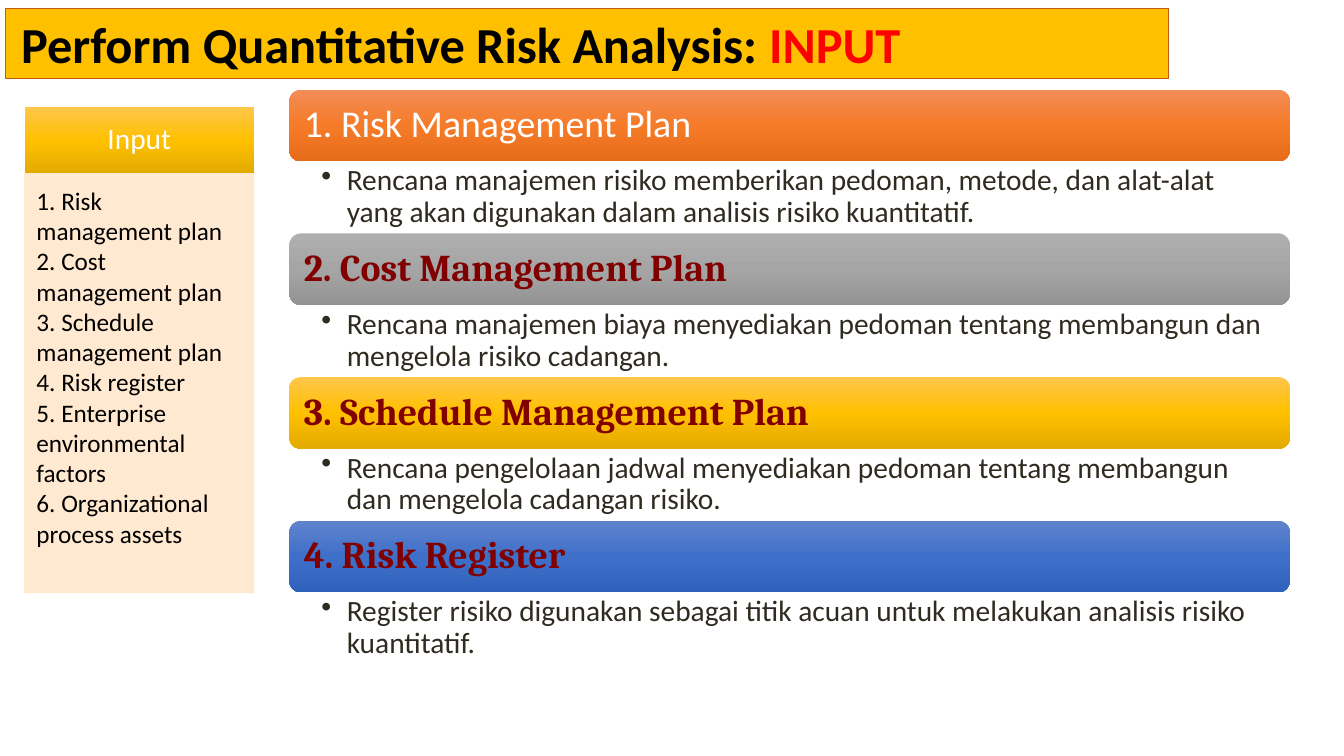
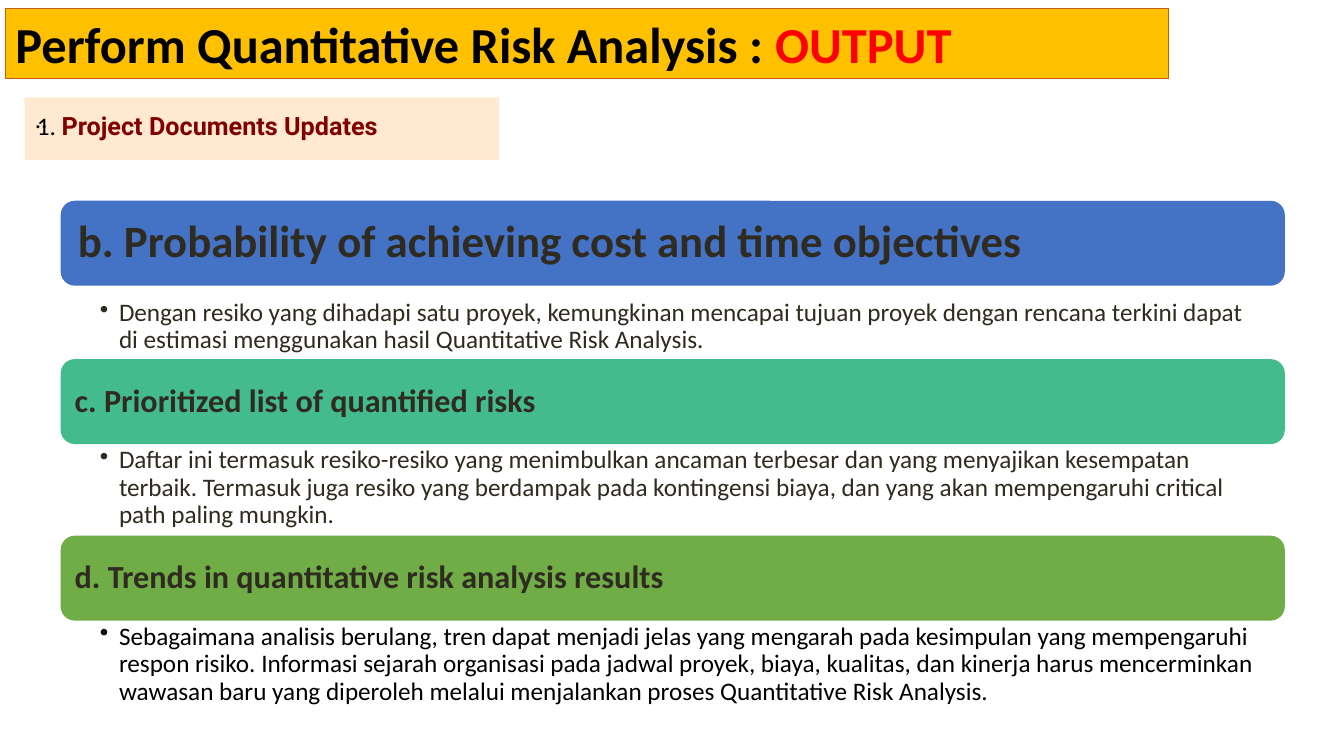
from copy import deepcopy
from dataclasses import dataclass

from pptx import Presentation
from pptx.dml.color import RGBColor as Rgb
from pptx.enum.shapes import MSO_SHAPE as Shape
from pptx.enum.text import MSO_ANCHOR as Anchor, MSO_AUTO_SIZE as AutoSize, PP_ALIGN as Align
from pptx.oxml.ns import qn
from pptx.util import Cm, Pt
from lxml.etree import SubElement


@dataclass(frozen=True)
class Theme:
    gold: str = "FFC000"
    rust: str = "C55A11"
    cream: str = "FFE8CC"
    black: str = "000000"
    white: str = "FFFFFF"
    red: str = "FF0000"
    maroon: str = "800000"
    ink: str = "2F2B20"
    blue: str = "4472C4"
    teal: str = "43BB8D"
    green: str = "70AD47"
    orange_fade: tuple = ("F18C57", "F67B28", "E56C19")
    gray_fade: tuple = ("AFAFAF", "A5A5A5", "939393")
    gold_fade: tuple = ("FFC64B", "FFC000", "E3AB00")
    blue_fade: tuple = ("6183CB", "3E70CA", "3062BB")
    sans: str = "Calibri"
    serif: str = "Cambria"
    label: str = "Roboto"
    title_size: int = 36
    lead_size: int = 32
    heading_size: int = 27
    subheading_size: int = 23
    body_size: int = 21
    small_size: int = 18


theme = Theme()


def write(box, paragraphs, insets, anchor=Anchor.TOP, align=Align.LEFT, spacing=None, hang=None):
    frame = box.text_frame
    frame.word_wrap = True
    frame.auto_size = AutoSize.NONE
    frame.vertical_anchor = anchor
    frame.margin_left, frame.margin_top, frame.margin_right, frame.margin_bottom = map(Cm, insets)
    for index, runs in enumerate(paragraphs):
        paragraph = frame.add_paragraph() if index else frame.paragraphs[0]
        paragraph.alignment = align
        if spacing:
            paragraph.line_spacing = spacing
        if hang:
            paragraph.level = 1
            properties = paragraph._p.get_or_add_pPr()
            properties.set("marL", str(Cm(hang)))
            properties.set("indent", str(-Cm(hang)))
            SubElement(properties, qn("a:buChar")).set("char", "•")
        for text, size, color, bold, font in runs:
            run = paragraph.add_run()
            run.text = text
            run.font.size = Pt(size)
            run.font.color.rgb = Rgb.from_string(color)
            run.font.bold = bold
            run.font.name = font


def add_panel(slide, kind, bounds, fill, alpha=None):
    panel = slide.shapes.add_shape(kind, *map(Cm, bounds))
    panel.shadow.inherit = False
    panel.line.fill.background()
    if isinstance(fill, tuple):
        panel.fill.gradient()
        panel.fill.gradient_angle = 270
        stops = panel.element.spPr.find(".//" + qn("a:gsLst"))
        stops.insert(1, deepcopy(stops[0]))
        for stop, color, position in zip(panel.fill.gradient_stops, fill, (0, 0.5, 1)):
            stop.color.rgb = Rgb.from_string(color)
            stop.position = position
    else:
        panel.fill.solid()
        panel.fill.fore_color.rgb = Rgb.from_string(fill)
    if alpha:
        panel.line.color.rgb = Rgb.from_string(fill)
        panel.line.width = Pt(0.5)
        for color in panel.element.spPr.iter(qn("a:srgbClr")):
            SubElement(color, qn("a:alpha")).set("val", str(alpha * 1000))
    return panel


input_cards = [
    ("1. Risk Management Plan", theme.orange_fade, theme.white, False, theme.sans,
     "Rencana manajemen risiko memberikan pedoman, metode, dan alat-alat yang akan digunakan "
     "dalam analisis risiko kuantitatif."),
    ("2. Cost Management Plan", theme.gray_fade, theme.maroon, True, theme.serif,
     "Rencana manajemen biaya menyediakan pedoman tentang membangun dan mengelola risiko cadangan."),
    ("3. Schedule Management Plan", theme.gold_fade, theme.maroon, True, theme.serif,
     "Rencana pengelolaan jadwal menyediakan pedoman tentang membangun dan mengelola cadangan risiko."),
    ("4. Risk Register", theme.blue_fade, theme.maroon, True, theme.serif,
     "Register risiko digunakan sebagai titik acuan untuk melakukan analisis risiko kuantitatif."),
]
output_cards = [
    ("b. Probability of achieving cost and time objectives", theme.blue, theme.lead_size, 0.33,
     0.28, 1.57, theme.ink,
     "Dengan resiko yang dihadapi satu proyek, kemungkinan mencapai tujuan proyek dengan rencana "
     "terkini dapat di estimasi menggunakan hasil Quantitative Risk Analysis."),
    ("c. Prioritized list of quantified risks", theme.teal, theme.subheading_size, 0.25,
     0, 2.31, theme.ink,
     "Daftar ini termasuk resiko-resiko yang menimbulkan ancaman terbesar dan yang menyajikan "
     "kesempatan terbaik. Termasuk juga resiko yang berdampak pada kontingensi biaya, dan yang "
     "akan mempengaruhi critical path paling mungkin."),
    ("d. Trends in quantitative risk analysis results", theme.green, theme.subheading_size, 0.25,
     0, 2.31, theme.black,
     "Sebagaimana analisis berulang, tren dapat menjadi jelas yang mengarah pada kesimpulan yang "
     "mempengaruhi respon risiko. Informasi sejarah organisasi pada jadwal proyek, biaya, kualitas, "
     "dan kinerja harus mencerminkan wawasan baru yang diperoleh melalui menjalankan proses "
     "Quantitative Risk Analysis."),
]
input_items = [
    "1. Risk management plan",
    "2. Cost management plan",
    "3. Schedule management plan",
    "4. Risk register",
    "5. Enterprise environmental factors",
    "6. Organizational process assets",
]

deck = Presentation()
deck.slide_width, deck.slide_height = Cm(33.87), Cm(19.05)

slides = []
for topic, stage, indent in [
    ("Perform Quantitative Risk Analysis: ", "INPUT", 0.38),
    ("Perform Quantitative Risk Analysis : ", "OUTPUT", 0.24),
]:
    slide = deck.slides.add_slide(deck.slide_layouts[5])
    title = slide.shapes.title
    title.left, title.top, title.width, title.height = map(Cm, (0.15, 0.21, 29.29, 1.78))
    title.fill.solid()
    title.fill.fore_color.rgb = Rgb.from_string(theme.gold)
    title.line.color.rgb = Rgb.from_string(theme.rust)
    title.line.width = Pt(0.75)
    write(title, [[(topic, theme.title_size, theme.black, True, theme.sans),
                   (stage, theme.title_size, theme.red, True, theme.sans)]],
          (indent, 0.13, 0.24, 0.13), Anchor.MIDDLE)
    slides.append(slide)
input_slide, output_slide = slides

list_heading = add_panel(input_slide, Shape.RECTANGLE, (0.62, 2.7, 5.78, 1.67), theme.gold_fade)
write(list_heading, [[("Input", theme.body_size, theme.white, False, theme.sans)]],
      (0.41, 0.23, 0.41, 0.23), Anchor.MIDDLE, Align.CENTER, 0.9)
item_list = add_panel(input_slide, Shape.RECTANGLE, (0.62, 4.37, 5.78, 10.57), theme.cream, 90)
write(item_list, [[(item, theme.small_size, theme.black, False, theme.sans)] for item in input_items],
      (0.3, 0.3, 0.41, 0.46))

left, top, width, height = 7.29, 2.26, 25.22, 1.81
for heading, fill, color, bold, font, detail in input_cards:
    band = add_panel(input_slide, Shape.ROUNDED_RECTANGLE, (left, top, width, height), fill)
    write(band, [[(heading, theme.heading_size, color, bold, font)]],
          (0.28, 0.28, 0.28, 0.28), Anchor.MIDDLE, spacing=0.9)
    top += height
    explanation = input_slide.shapes.add_textbox(*map(Cm, (left, top, width, height)))
    write(explanation, [[(detail, theme.body_size, theme.ink, False, theme.sans)]],
          (0.81, 0.1, 0.53, 0.1), spacing=0.9, hang=0.64)
    top += height

left, top, width, height = 1.53, 5.06, 30.85, 2.14
for heading, fill, size, inset, gap, detail_height, color, detail in output_cards:
    band = add_panel(output_slide, Shape.ROUNDED_RECTANGLE, (left, top, width, height), fill)
    write(band, [[(heading, size, theme.ink, True, theme.sans)]],
          (inset,) * 4, Anchor.MIDDLE, spacing=0.9)
    top += height + gap
    explanation = output_slide.shapes.add_textbox(*map(Cm, (left, top, width, detail_height)))
    write(explanation, [[(detail, theme.small_size, color, False, theme.sans)]],
          (0.99, 0.08, 0.46, 0.08), spacing=0.9, hang=0.48)
    top += detail_height

updates_bounds = (0.63, 2.47, 11.94, 1.56)
updates_panel = add_panel(output_slide, Shape.RECTANGLE, updates_bounds, theme.cream, 90)
write(updates_panel, [[("..", theme.small_size, theme.black, False, theme.sans)]],
      (0.25, 0.13, 0.25, 0.13))
updates_label = output_slide.shapes.add_textbox(*map(Cm, updates_bounds))
write(updates_label, [[("1. ", theme.small_size, theme.black, False, theme.sans),
                       ("Project Documents Updates", theme.small_size, theme.maroon, True, theme.label)]],
      (0.3, 0.3, 0.41, 0.46))

deck.save("out.pptx")
